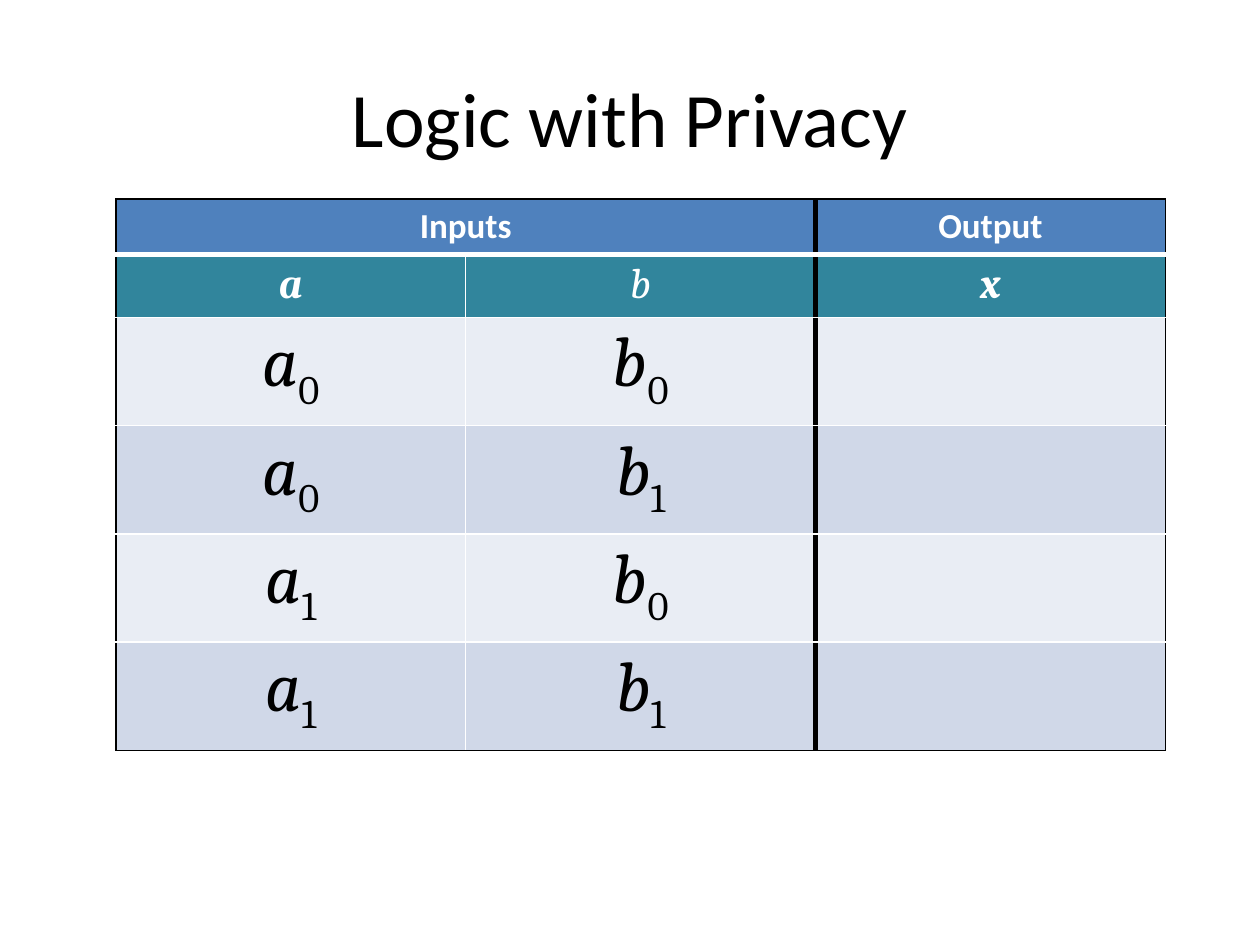
from dataclasses import dataclass

from lxml.etree import SubElement
from pptx import Presentation
from pptx.dml.color import RGBColor
from pptx.enum.text import MSO_ANCHOR, PP_ALIGN
from pptx.oxml.ns import qn
from pptx.util import Inches, Pt

BLACK = RGBColor(0x00, 0x00, 0x00)
WHITE = RGBColor(0xFF, 0xFF, 0xFF)
BLUE = RGBColor(0x4F, 0x81, 0xBD)
TEAL = RGBColor(0x31, 0x85, 0x9C)
PALE = RGBColor(0xE9, 0xED, 0xF4)
MIST = RGBColor(0xD0, 0xD8, 0xE8)

SLIDE_WIDTH, SLIDE_HEIGHT = Inches(10), Inches(7.5)
BLANK_LAYOUT = 6
COLUMNS = 3
DIVIDER_COLUMN = 2  # grid line between inputs and output
HEADER_LINE = 1  # grid line under the first header row
SUBSCRIPT = "-25000"


@dataclass(frozen=True)
class Style:
    size: float
    font: str
    color: RGBColor
    bold: bool = False
    italic: bool = False


@dataclass(frozen=True)
class TableRow:
    texts: tuple[str, ...]
    fill: RGBColor
    height: float
    style: Style


TITLE = Style(44, "Calibri", BLACK)
HEADING = Style(20, "Calibri", WHITE, bold=True)
VARIABLE = Style(24, "Cambria", WHITE, bold=True, italic=True)
VALUE = Style(40, "Cambria", BLACK, italic=True)

ROWS = [
    TableRow(("Inputs", "", "Output"), BLUE, 0.44, HEADING),
    TableRow(("a", "b", "x"), TEAL, 0.49, VARIABLE),
] + [
    TableRow((f"a{a}", f"b{b}", ""), MIST if b else PALE, 0.82, VALUE)
    for a in (0, 1)
    for b in (0, 1)
]


def format_run(run, style: Style) -> None:
    font = run.font
    font.name, font.size = style.font, Pt(style.size)
    font.bold, font.italic = style.bold, style.italic
    font.color.rgb = style.color


def add_title(slide, text: str) -> None:
    box = slide.shapes.add_textbox(
        int(SLIDE_WIDTH * 0.05), int(SLIDE_HEIGHT * 0.04),
        int(SLIDE_WIDTH * 0.9), Inches(1.25),
    )
    frame = box.text_frame
    frame.word_wrap = True
    frame.vertical_anchor = MSO_ANCHOR.MIDDLE
    frame.text = text
    paragraph = frame.paragraphs[0]
    paragraph.alignment = PP_ALIGN.CENTER
    format_run(paragraph.runs[0], TITLE)


def vertical_line(grid_line: int) -> tuple[RGBColor, float]:
    if grid_line == DIVIDER_COLUMN:
        return BLACK, 3
    return (BLACK if grid_line in (0, COLUMNS) else WHITE), 1


def horizontal_line(grid_line: int) -> tuple[RGBColor, float]:
    if grid_line == HEADER_LINE:
        return WHITE, 3
    return (BLACK if grid_line in (0, len(ROWS)) else WHITE), 1


def set_borders(cell, row: int, column: int) -> None:
    right = column + (cell.span_width if cell.is_merge_origin else 1)
    borders = {
        "a:lnL": vertical_line(column),
        "a:lnR": vertical_line(right),
        "a:lnT": horizontal_line(row),
        "a:lnB": horizontal_line(row + 1),
    }
    properties = cell._tc.get_or_add_tcPr()
    for tag, (color, width) in borders.items():
        line = SubElement(properties, qn(tag), w=str(Pt(width)))
        fill = SubElement(line, qn("a:solidFill"))
        SubElement(fill, qn("a:srgbClr"), val=str(color))


def write_cell(cell, text: str, style: Style) -> None:
    """Write a label, or a variable with its index as a subscript."""
    paragraph = cell.text_frame.paragraphs[0]
    paragraph.alignment = PP_ALIGN.CENTER
    name = text.rstrip("01")
    index = text[len(name):]
    if name:
        run = paragraph.add_run()
        run.text = name
        format_run(run, style)
        if name == "b" and style is VARIABLE:
            run.font.bold = False
    if index:
        run = paragraph.add_run()
        run.text = index
        format_run(run, style)
        run.font.italic = False
        run._r.get_or_add_rPr().set("baseline", SUBSCRIPT)


def add_truth_table(slide) -> None:
    frame = slide.shapes.add_table(
        len(ROWS), COLUMNS, Inches(0.92), Inches(1.58), Inches(8.33),
        Inches(sum(row.height for row in ROWS)),
    )
    table = frame.table
    table.cell(0, 0).merge(table.cell(0, 1))
    for row_index, row in enumerate(ROWS):
        table.rows[row_index].height = Inches(row.height)
        for column_index, text in enumerate(row.texts):
            cell = table.cell(row_index, column_index)
            if cell.is_spanned:
                continue
            set_borders(cell, row_index, column_index)
            cell.fill.solid()
            cell.fill.fore_color.rgb = row.fill
            write_cell(cell, text, row.style)


def main() -> None:
    presentation = Presentation()
    presentation.slide_width = SLIDE_WIDTH
    presentation.slide_height = SLIDE_HEIGHT
    slide = presentation.slides.add_slide(presentation.slide_layouts[BLANK_LAYOUT])
    add_title(slide, "Logic with Privacy")
    add_truth_table(slide)
    presentation.save("out.pptx")


if __name__ == "__main__":
    main()
